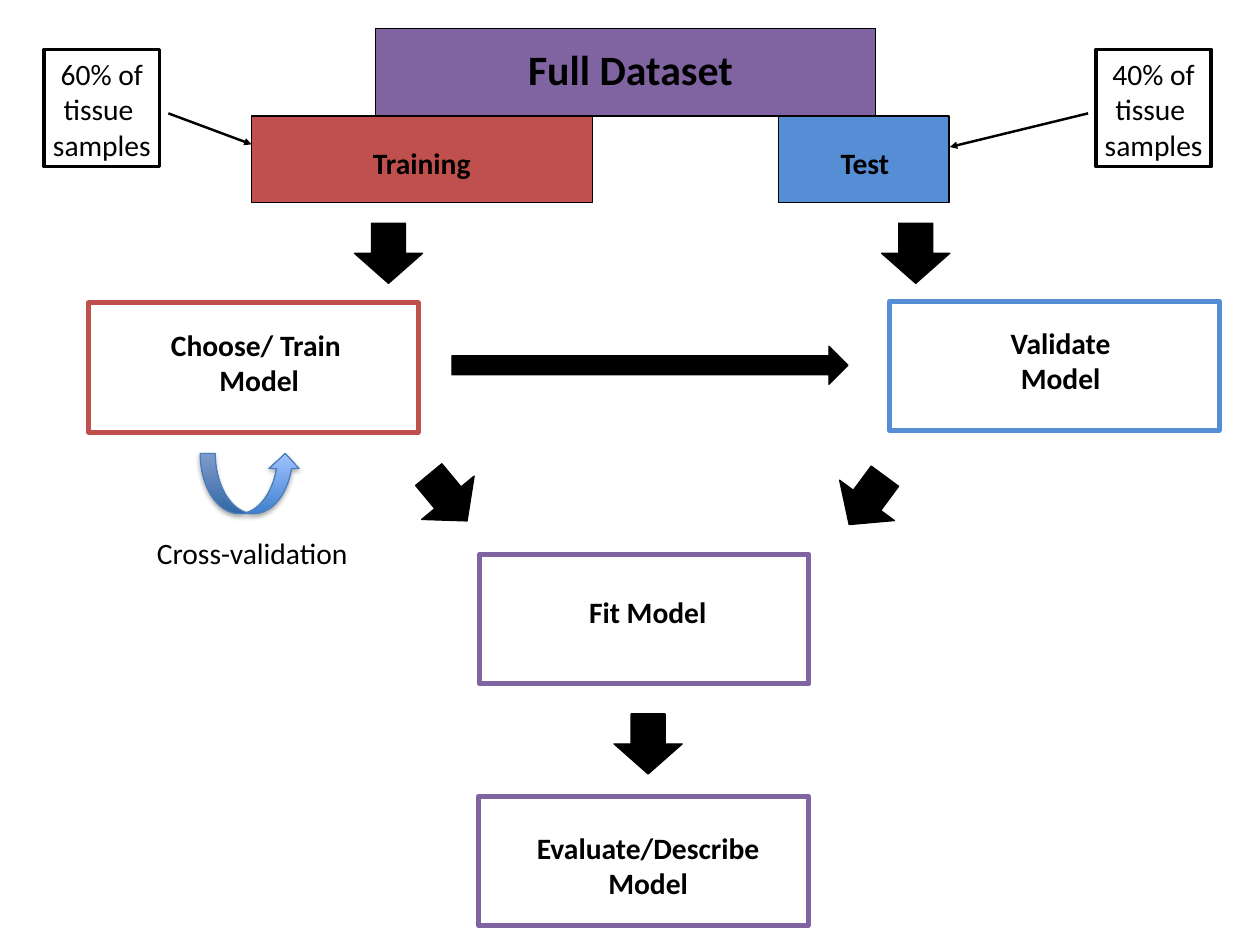
from dataclasses import dataclass

from lxml.etree import SubElement
from pptx import Presentation
from pptx.dml.color import RGBColor
from pptx.enum.shapes import MSO_CONNECTOR, MSO_SHAPE as Preset
from pptx.enum.text import MSO_ANCHOR as Anchor, PP_ALIGN as Align
from pptx.oxml.ns import qn
from pptx.util import Emu, Pt

PX = 9144  # 100 px to the inch
BLACK, PURPLE, RED, BLUE = "000000", "8064A2", "C0504D", "558ED5"
STEP_SIZE = (372, 146)
NOTE_SIZE = (130, 132)
ARROW_SIZE = (77, 68)
LABEL_HEIGHT = {1: 47, 2: 87}


@dataclass(frozen=True)
class Panel:
    left: int
    top: int
    size: tuple[int, int]
    line: str
    weight: int
    fill: str | None = None
    lines: tuple[str, ...] = ()


@dataclass(frozen=True)
class Label:
    left: int
    top: int
    width: int
    lines: tuple[str, ...]
    size: int = 24
    bold: bool = True
    align: Align = Align.CENTER


@dataclass(frozen=True)
class Arrow:
    left: int
    top: int
    size: tuple[int, int] = ARROW_SIZE
    rotation: float = 0
    preset: Preset = Preset.DOWN_ARROW


@dataclass(frozen=True)
class Pointer:
    start: tuple[int, int]
    end: tuple[int, int]


PANELS = [
    # Data split
    Panel(424, 32, (564, 99), BLACK, 1, PURPLE),
    Panel(284, 131, (385, 98), BLACK, 1, RED),
    Panel(879, 131, (192, 98), BLACK, 1, BLUE),
    # Modelling steps
    Panel(100, 342, STEP_SIZE, RED, 4),
    Panel(1004, 340, STEP_SIZE, BLUE, 4),
    Panel(541, 626, STEP_SIZE, PURPLE, 4),
    Panel(540, 899, STEP_SIZE, PURPLE, 4),
    # Sample shares
    *(Panel(left, 56, NOTE_SIZE, BLACK, 3, lines=(f"{share}% of", "tissue ", "samples"))
      for left, share in ((50, 60), (1237, 40))),
]

LABELS = [
    Label(589, 42, 247, ("Full Dataset",), size=34, align=Align.LEFT),
    Label(291, 157, 370, ("Training",)),
    Label(887, 157, 178, ("Test",)),
    Label(185, 362, 215, ("Choose/ Train ", "Model")),
    Label(1133, 360, 128, ("Validate", "Model")),
    Label(657, 664, 148, ("Fit Model",)),
    Label(598, 930, 267, ("Evaluate/Describe", "Model")),
    Label(170, 597, 231, ("Cross-validation",), bold=False, align=Align.LEFT),
]

ARROWS = [
    Arrow(400, 252),
    Arrow(995, 252),
    Arrow(510, 391, (447, 43), preset=Preset.RIGHT_ARROW),
    Arrow(467, 528, rotation=320.4),
    Arrow(940, 531, rotation=36.4),
    Arrow(693, 806),
]

POINTERS = [
    Pointer((1228, 128), (1072, 166)),
    Pointer((190, 128), (284, 163)),
]


def px(*lengths: int) -> list[Emu]:
    return [Emu(length * PX) for length in lengths]


def rgb(colour: str) -> RGBColor:
    return RGBColor.from_string(colour)


def set_line(line, colour: str, weight: int) -> None:
    line.color.rgb = rgb(colour)
    line.width = Pt(weight)


def write(frame, lines: tuple[str, ...], size: int, bold: bool, align: Align) -> None:
    frame.word_wrap = False
    frame.vertical_anchor = Anchor.TOP
    frame.margin_left, frame.margin_top, frame.margin_right, frame.margin_bottom = px(7, 7, 7, 7)
    frame.text = "\n".join(lines)
    for paragraph in frame.paragraphs:
        paragraph.alignment = align
        font = paragraph.font
        font.name, font.size, font.bold = "Calibri", Pt(size), bold
        font.color.rgb = rgb(BLACK)


def add_preset(slide, preset: Preset, left: int, top: int, size: tuple[int, int],
               fill: str | None, line: str, weight: int):
    shape = slide.shapes.add_shape(preset, *px(left, top, *size))
    shape.shadow.inherit = False
    if fill:
        shape.fill.solid()
        shape.fill.fore_color.rgb = rgb(fill)
    else:
        shape.fill.background()
    set_line(shape.line, line, weight)
    return shape


def draw_panel(slide, panel: Panel) -> None:
    shape = add_preset(slide, Preset.RECTANGLE, panel.left, panel.top, panel.size,
                       panel.fill, panel.line, panel.weight)
    if panel.lines:
        write(shape.text_frame, panel.lines, 24, False, Align.CENTER)


def draw_label(slide, label: Label) -> None:
    height = 64 if label.size > 24 else LABEL_HEIGHT[len(label.lines)]
    box = slide.shapes.add_textbox(*px(label.left, label.top, label.width, height))
    write(box.text_frame, label.lines, label.size, label.bold, label.align)


def draw_arrow(slide, arrow: Arrow) -> None:
    shape = add_preset(slide, arrow.preset, arrow.left, arrow.top, arrow.size, BLACK, BLACK, 1)
    shape.rotation = arrow.rotation


def draw_cross_validation_loop(slide) -> None:
    loop = add_preset(slide, Preset.CURVED_UP_ARROW, 226, 512, (113, 68), None, "4A7EBB", 1)
    loop.fill.gradient()
    loop.fill.gradient_angle = 90
    for stop, colour in zip(loop.fill.gradient_stops, ("3F80CE", "A2C3FF")):
        stop.color.rgb = rgb(colour)
    # Soft shadow below the loop
    effects = loop._element.spPr.find(qn("a:effectLst"))
    shadow = SubElement(effects, qn("a:outerShdw"), blurRad=str(Pt(4)), dist=str(Pt(2)),
                        dir="5400000", rotWithShape="0")
    tint = SubElement(shadow, qn("a:srgbClr"), val=BLACK)
    SubElement(tint, qn("a:alpha"), val="35000")


def draw_pointer(slide, pointer: Pointer) -> None:
    connector = slide.shapes.add_connector(
        MSO_CONNECTOR.STRAIGHT, *px(*pointer.start, *pointer.end))
    set_line(connector.line, BLACK, 2)
    SubElement(connector.line._get_or_add_ln(), qn("a:tailEnd"), type="triangle")
    SubElement(connector._element.spPr, qn("a:effectLst"))


def main() -> None:
    deck = Presentation()
    deck.slide_width, deck.slide_height = px(1422, 1067)
    slide = deck.slides.add_slide(deck.slide_layouts[6])
    for panel in PANELS:
        draw_panel(slide, panel)
    for label in LABELS:
        draw_label(slide, label)
    for arrow in ARROWS:
        draw_arrow(slide, arrow)
    draw_cross_validation_loop(slide)
    for pointer in POINTERS:
        draw_pointer(slide, pointer)
    deck.save("out.pptx")


if __name__ == "__main__":
    main()
